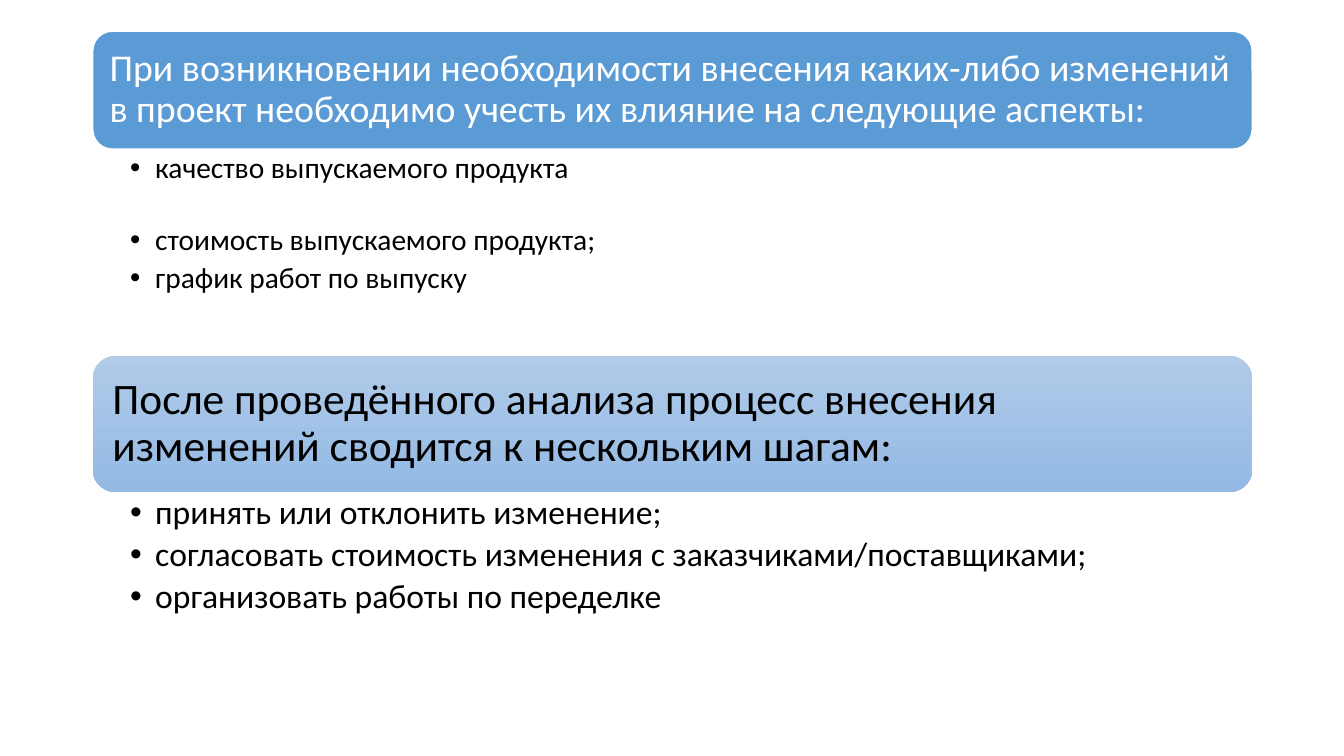
from pptx import Presentation
from pptx.dml.color import RGBColor
from pptx.enum.shapes import MSO_SHAPE as Shape
from pptx.enum.text import MSO_ANCHOR as Anchor, PP_ALIGN as Align
from pptx.oxml import parse_xml
from pptx.oxml.ns import nsdecls
from pptx.util import Pt

PX = 9144
BLUE = RGBColor(0x5B, 0x9B, 0xD5)
PALE = RGBColor(0xB1, 0xCB, 0xE9)
SKY = RGBColor(0x93, 0xB9, 0xE4)
WHITE = RGBColor(0xFF, 0xFF, 0xFF)
BLACK = RGBColor(0, 0, 0)
LEFT, WIDE = 92, 1150

PARTS = [
    {
        "top": 31, "tall": 117, "rest": 153, "pad": 11, "right": 21,
        "fills": [BLUE], "ink": WHITE, "edge": WHITE, "size": 27, "small": 21,
        "head": "При возникновении необходимости внесения каких-либо изменений "
                "в проект необходимо учесть их влияние на следующие аспекты:",
        "items": [("качество выпускаемого продукта", 29),
                  ("стоимость выпускаемого продукта;", 4),
                  ("график работ по выпуску", 4)],
    },
    {
        "top": 353, "tall": 135, "rest": 137, "pad": 13, "right": 24,
        "fills": [PALE, SKY], "ink": BLACK, "edge": None, "size": 31, "small": 24,
        "head": "После проведённого анализа процесс внесения\v"
                "изменений сводится к нескольким шагам:",
        "items": [("принять или отклонить изменение;", 4),
                  ("согласовать стоимость изменения с заказчиками/поставщиками;", 4),
                  ("организовать работы по переделке", 4)],
    },
]


def style(obj, form):
    for name, value in form.items():
        setattr(obj, name, value)


def place(frame, pads, anchor):
    names = ("margin_left", "margin_top", "margin_right", "margin_bottom")
    style(frame, {name: pad * PX for name, pad in zip(names, pads)})
    style(frame, {"word_wrap": True, "vertical_anchor": anchor})


def write(para, text, size, ink, after):
    para.text = text
    style(para, {"alignment": Align.LEFT, "line_spacing": 0.9,
                 "space_after": Pt(after)})
    for run in para.runs:
        style(run.font, {"name": "Calibri", "size": Pt(size)})
        run.font.color.rgb = ink


def paint(shape, fills, edge):
    shape.shadow.inherit = False
    if len(fills) == 1:
        shape.fill.solid()
        shape.fill.fore_color.rgb = fills[0]
    else:
        shape.fill.gradient()
        shape.fill.gradient_angle = 270
        for stop, color in zip(shape.fill.gradient_stops, fills):
            stop.color.rgb = color
    if edge is None:
        shape.line.fill.background()
    else:
        shape.line.color.rgb = edge
        shape.line.width = Pt(1)


def bullet(para):
    props = para._p.get_or_add_pPr()
    style(props, {"lvl": 1})
    props.set("marL", str(25 * PX))
    props.set("indent", str(-25 * PX))
    for tag in ('buFont {} typeface="Arial"', 'buChar {} char="•"'):
        props.append(parse_xml(f"<a:{tag.format(nsdecls('a'))}/>"))


def banner(slide, box, part):
    shape = slide.shapes.add_shape(Shape.ROUNDED_RECTANGLE, *(n * PX for n in box))
    paint(shape, part["fills"], part["edge"])
    frame = shape.text_frame
    place(frame, [part["pad"]] * 4, Anchor.MIDDLE)
    write(frame.paragraphs[0], part["head"], part["size"], part["ink"], 0)


def points(slide, box, part):
    frame = slide.shapes.add_textbox(*(n * PX for n in box)).text_frame
    place(frame, (37, 4, part["right"], 4), Anchor.TOP)
    for i, (text, after) in enumerate(part["items"]):
        para = frame.add_paragraph() if i else frame.paragraphs[0]
        write(para, text, part["small"], BLACK, after)
        bullet(para)


def main():
    deck = Presentation()
    style(deck, {"slide_width": 1333 * PX, "slide_height": 750 * PX})
    slide = deck.slides.add_slide(deck.slide_layouts[6])
    for part in PARTS:
        top, tall = part["top"], part["tall"]
        banner(slide, (LEFT, top, WIDE, tall), part)
        points(slide, (LEFT, top + tall, WIDE, part["rest"]), part)
    deck.save("out.pptx")


if __name__ == "__main__":
    main()
